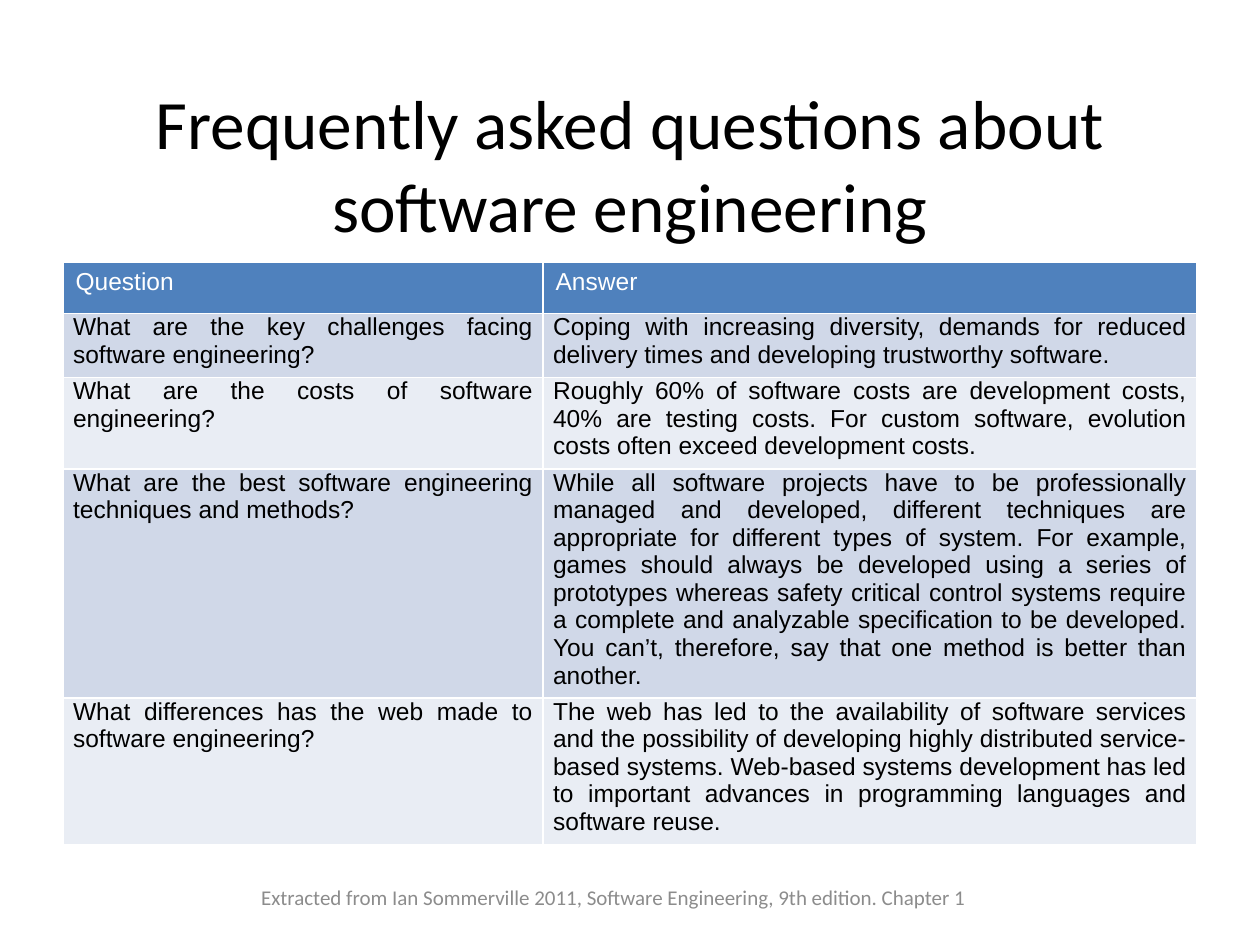
"""Build a slide with a table of frequently asked questions about software engineering."""
from pptx import Presentation
from pptx.dml.color import RGBColor
from pptx.enum.text import MSO_ANCHOR as Anchor, PP_ALIGN as Align
from pptx.util import Inches, Pt

COLORS = {
    "black": "000000",
    "white": "FFFFFF",
    "gray": "8C8C8C",
    "header": "4F81BD",
    "odd": "D0D8E8",
    "even": "E9EDF4",
}
ROWS = [
    ("Question", "Answer"),
    ("What are the key challenges facing software engineering?",
     "Coping with increasing diversity, demands for reduced delivery times and "
     "developing trustworthy software."),
    ("What are the costs of software engineering?",
     "Roughly 60% of software costs are development costs, 40% are testing costs. "
     "For custom software, evolution costs often exceed development costs."),
    ("What are the best software engineering techniques and methods?",
     "While all software projects have to be professionally managed and developed, "
     "different techniques are appropriate for different types of system. For example, "
     "games should always be developed using a series of prototypes whereas safety "
     "critical control systems require a complete and analyzable specification to be "
     "developed. You can’t, therefore, say that one method is better than another."),
    ("What differences has the web made to software engineering?",
     "The web has led to the availability of software services and the possibility of "
     "developing highly distributed service-based systems. Web-based systems development "
     "has led to important advances in programming languages and software reuse."),
]
COLUMN_WIDTHS = [3.81, 5.19]
ROW_HEIGHT = 0.41
BODY_MARGINS = {
    "margin_left": 0.08,
    "margin_top": 0,
    "margin_right": 0.08,
    "margin_bottom": 0.07,
}


def write_text(text_frame, text, name, size, color, alignment):
    text_frame.text = text
    paragraph = text_frame.paragraphs[0]
    paragraph.alignment = alignment
    font = paragraph.runs[0].font
    for attribute, value in {"name": name, "size": Pt(size), "bold": False}.items():
        setattr(font, attribute, value)
    font.color.rgb = RGBColor.from_string(COLORS[color])


def place(shape, left, top, width, height):
    bounds = {"left": left, "top": top, "width": width, "height": height}
    for attribute, value in bounds.items():
        setattr(shape, attribute, Inches(value))
    shape.text_frame.word_wrap = True
    shape.text_frame.vertical_anchor = Anchor.MIDDLE


presentation = Presentation()
presentation.slide_width = Inches(10)
presentation.slide_height = Inches(7.5)
slide = presentation.slides.add_slide(presentation.slide_layouts[5])

title = slide.shapes.title
place(title, 0.5, 0.67, 9, 1.25)
write_text(title.text_frame, "Frequently asked questions about software engineering",
           "Calibri", 39.6, "black", Align.CENTER)

table = slide.shapes.add_table(
    len(ROWS), len(COLUMN_WIDTHS), Inches(0.5), Inches(2.08),
    Inches(sum(COLUMN_WIDTHS)), Inches(ROW_HEIGHT * len(ROWS))).table
for column, width in zip(table.columns, COLUMN_WIDTHS):
    column.width = Inches(width)

for row_index, texts in enumerate(ROWS):
    is_header = row_index == 0
    fill = "header" if is_header else "odd" if row_index % 2 else "even"
    table.rows[row_index].height = Inches(ROW_HEIGHT)
    for column_index, text in enumerate(texts):
        cell = table.cell(row_index, column_index)
        cell.fill.solid()
        cell.fill.fore_color.rgb = RGBColor.from_string(COLORS[fill])
        if not is_header:
            for attribute, value in BODY_MARGINS.items():
                setattr(cell, attribute, Inches(value))
        write_text(cell.text_frame, text, "Arial", 14,
                   "white" if is_header else "black",
                   Align.LEFT if is_header else Align.JUSTIFY)

source = slide.shapes.add_textbox(0, 0, 0, 0)
place(source, 1.58, 6.92, 6.58, 0.4)
write_text(source.text_frame,
           "Extracted from Ian Sommerville 2011, Software Engineering, 9th edition. Chapter 1",
           "Calibri", 12, "gray", Align.CENTER)

presentation.save("out.pptx")
